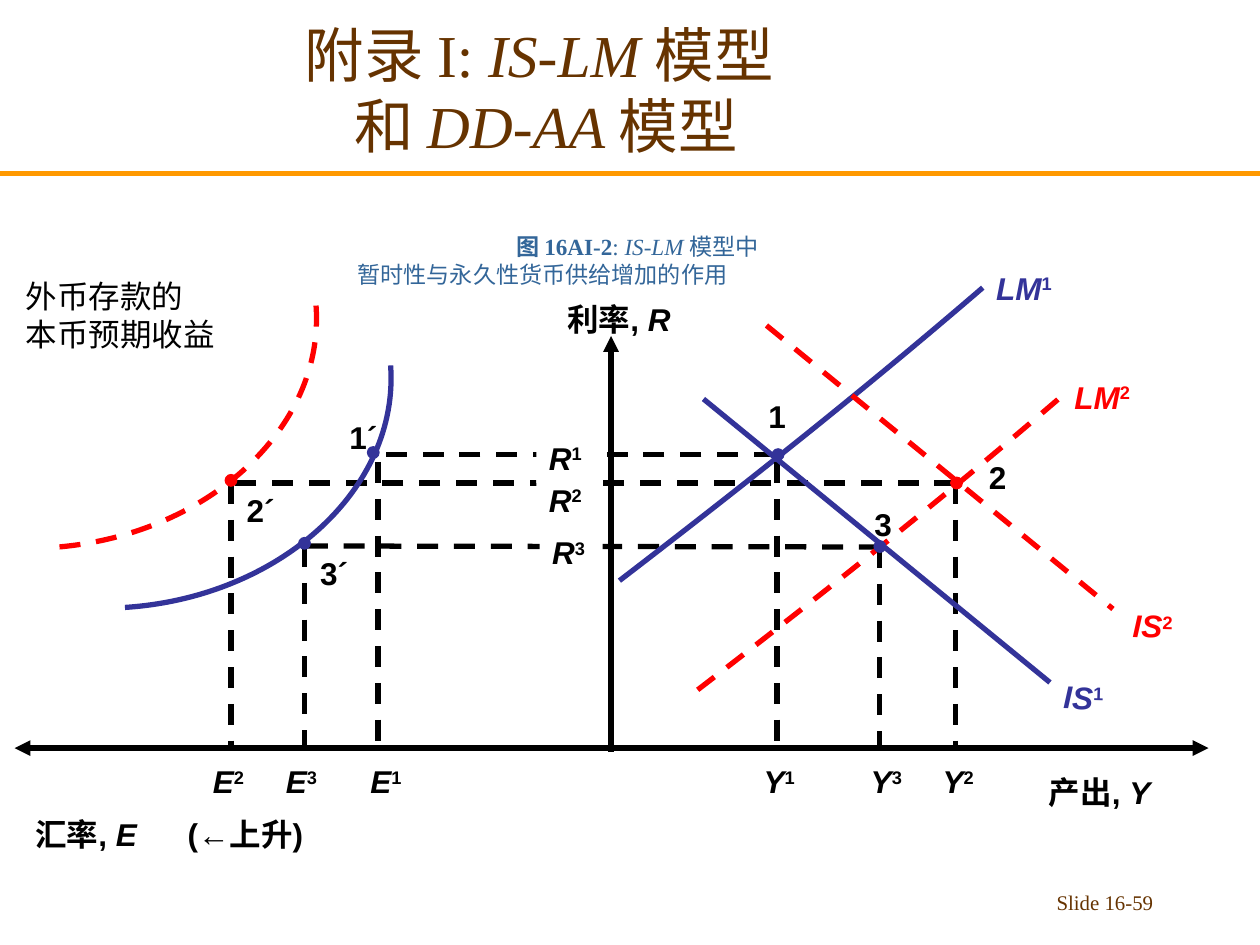
"""Build the IS-LM and DD-AA appendix slide."""
from typing import NamedTuple, Optional

from lxml.etree import SubElement
from pptx import Presentation
from pptx.dml.color import RGBColor
from pptx.enum.dml import MSO_LINE
from pptx.enum.shapes import MSO_CONNECTOR, MSO_SHAPE
from pptx.enum.text import MSO_ANCHOR as Anchor, MSO_AUTO_SIZE as Fit, PP_ALIGN as Align
from pptx.oxml.ns import qn
from pptx.util import Inches, Pt

INK = {"black": "000000", "blue": "333399", "red": "FF0000", "brown": "663300",
       "steel": "336699", "gold": "FF9900", "white": "FFFFFF"}
SERIF, SANS = "Times New Roman", "Arial"
COLS, ROWS = 120, 90
BASE, FOOT = 71.25, 72
ORIGIN = 58.2
TALL = 4.8


class Bit(NamedTuple):
    """A run of text: b bold, i italic, ^ raised."""
    text: str
    style: str = ""


class Spot(NamedTuple):
    """A marked point with its drop line and its axis label."""
    name: str
    x: float
    y: float
    ink: str
    tag: tuple[float, float]
    drop: tuple[float, float, float]
    axis: str
    left: float


class Level(NamedTuple):
    """A dashed interest rate level with its label."""
    num: str
    start: tuple[float, float]
    end: tuple[float, float]
    tag: tuple[float, float]


class Sched(NamedTuple):
    """A straight or curved schedule with its label."""
    ink: str
    pts: list[tuple[float, float]]
    name: str = ""
    num: str = ""
    tag: tuple[float, float] = (0, 0)


SPOTS = [
    Spot("3", 83.8, 52.05, "blue", (82.1, 47.5), (83.8, 52.1, BASE), "Y", 81.75),
    Spot("2", 91.1, 46, "red", (93, 43), (91, 46, 71), "Y", 88.6),
    Spot("1", 74.1, 43.3, "blue", (72, 37.2), (74, 44, 72), "Y", 71.55),
    Spot("3´", 29, 51.75, "blue", (29.3, 52.2), (29, 52, 71), "E", 26.05),
    Spot("1´", 35.55, 43.1, "blue", (32.1, 39.2), (36, 44, 72), "E", 34.1),
    Spot("2´", 22, 45.75, "red", (22.3, 46.2), (22, 46, 71), "E", 19.1),
]
LEVELS = [
    Level("2", (91, 46), (22, 46), (51.1, 45.2)),
    Level("3", (83.8, 52.1), (29, 52), (51.4, 50.2)),
    Level("1", (73.8, 43.3), (35.4, 43.3), (51.1, 41.2)),
]


def shift(pts: list, dx: float, dy: float) -> list:
    """Move points by columns and rows."""
    return [(x + dx, y + dy) for x, y in pts]


LM = [(59, 55.3), (70.6, 46.4), (82.1, 37.3), (93.6, 27.4)]
YIELD = [(37.2, 34.8), (38.05, 46.55), (26.65, 56.9), (11.9, 57.85)]
IS = [(67, 38), (100, 65)]
CURVES = [
    Sched("red", shift(LM, 7.45, 10.4), "LM", "2", (101.15, 35.4)),
    Sched("blue", LM, "LM", "1", (93.7, 25)),
    Sched("blue", YIELD),
    Sched("red", shift(YIELD, -7.1, -5.7)),
]
LINES = [
    Sched("blue", IS, "IS", "1", (100.1, 64)),
    Sched("red", shift(IS, 6, -7), "IS", "2", (106.7, 57.2)),
]

deck = Presentation()
deck.slide_width, deck.slide_height = Inches(10), Inches(7.5)
slide = deck.slides.add_slide(deck.slide_layouts[1])
shapes = slide.shapes


def col(num: float) -> int:
    """Turn columns into a length."""
    return round(deck.slide_width * num / COLS)


def row(num: float) -> int:
    """Turn rows into a length."""
    return round(deck.slide_height * num / ROWS)


def rgb(ink: str) -> RGBColor:
    """Look up a colour."""
    return RGBColor.from_string(INK[ink])


def style(line, ink: str, dash: bool = False, width: float = 3) -> None:
    """Format an outline."""
    line.color.rgb, line.width = rgb(ink), Pt(width)
    if dash:
        line.dash_style = MSO_LINE.DASH


def rule(start: tuple, end: tuple, ink: str = "black", dash: bool = False,
         arrow: bool = False) -> None:
    """Draw a straight line."""
    link = shapes.add_connector(MSO_CONNECTOR.STRAIGHT, col(start[0]), row(start[1]),
                                col(end[0]), row(end[1]))
    style(link.line, ink, dash)
    if arrow:
        SubElement(link.line._get_or_add_ln(), qn("a:tailEnd"), type="triangle")
    SubElement(link._element.spPr, qn("a:effectLst"))


def curve(pts: list, ink: str) -> None:
    """Draw one cubic curve from its four control points."""
    way = [(col(x), row(y)) for x, y in pts]
    pen = shapes.build_freeform(*way[0])
    pen.add_line_segments(way[1:], close=False)
    shape = pen.convert_to_shape()
    track = next(shape._element.iter(qn("a:moveTo"))).getparent()
    steps = track.findall(qn("a:lnTo"))
    bend = SubElement(track, qn("a:cubicBezTo"))
    for step in steps:
        bend.append(step[0])
        track.remove(step)
    shape.fill.background()
    shape.shadow.inherit = False
    style(shape.line, ink, ink == "red")


def write(frame, paras: list, size: float, face: str, ink: str, bold: bool = False,
          align: Align = Align.LEFT) -> None:
    """Fill a text frame with paragraphs of runs."""
    for k, bits in enumerate(paras):
        para = frame.paragraphs[0] if k == 0 else frame.add_paragraph()
        para.alignment, para.space_before = align, Pt(0)
        font = para.font
        font.name, font.size, font.bold, font.color.rgb = face, Pt(size), bold, rgb(ink)
        for bit in bits:
            run = para.add_run()
            run.text = bit.text
            if "b" in bit.style:
                run.font.bold = True
            if "i" in bit.style:
                run.font.italic = True
            if "^" in bit.style:
                run._r.get_or_add_rPr().set("baseline", "30000")


def label(at: tuple, wide: float, paras: list, ink: str = "black", bold: bool = True,
          wrap: bool = False, align: Align = Align.LEFT, size: float = 18,
          face: str = SANS, tall: float = TALL):
    """Add a text box."""
    box = shapes.add_textbox(col(at[0]), row(at[1]), col(wide), row(tall))
    box.text_frame.word_wrap = wrap
    write(box.text_frame, paras, size, face, ink, bold, align)
    return box


def mark(name: str, num: str, at: tuple, wide: float = 6, ink: str = "black"):
    """Add a symbol with a raised number."""
    box = label(at, wide, [[Bit(name, "i"), Bit(num, "^")]], ink, wrap=True)
    return box


def holder(shape, at: tuple, anchor: Anchor, paras: list, size: float, ink: str,
           pads: Optional[list] = None) -> None:
    """Move and fill a placeholder."""
    shape.left, shape.top, shape.width, shape.height = (
        col(at[0]), row(at[1]), col(at[2]), row(at[3]))
    frame = shape.text_frame
    frame.auto_size, frame.vertical_anchor, frame.word_wrap = Fit.NONE, anchor, True
    write(frame, paras, size, SERIF, ink, align=Align.CENTER)
    for para, (left, right) in zip(frame.paragraphs, pads or []):
        prop = para._p.get_or_add_pPr()
        for key, num in (("marL", left), ("marR", right), ("indent", 0)):
            prop.set(key, str(col(num)))
        prop.find(qn("a:defRPr")).addprevious(SubElement(prop, qn("a:buNone")))


def spot(item: Spot) -> None:
    """Draw a point with its drop line and labels."""
    x, top, end = item.drop
    rule((x, top), (x, end), dash=True)
    mark(item.axis, item.name[0], (item.left, FOOT))
    size = 1.1
    dot = shapes.add_shape(MSO_SHAPE.OVAL, col(item.x - size / 2), row(item.y - size / 2),
                           col(size), row(size))
    dot.shadow.inherit = False
    dot.fill.solid()
    dot.fill.fore_color.rgb = rgb(item.ink)
    style(dot.line, item.ink, width=0.75)
    label(item.tag, 4.2 if len(item.name) == 1 else 5.6, [[Bit(item.name)]], wrap=True)


def main() -> None:
    """Draw the slide and save it."""
    holder(shapes.title, (1, 1, 102, 15), Anchor.MIDDLE, [
        [Bit("附录 I: "), Bit("IS", "i"), Bit("-"), Bit("LM ", "i"), Bit("模型 ")],
        [Bit("和 "), Bit("DD", "i"), Bit("-"), Bit("AA ", "i"), Bit("模型")]], 34, "brown")
    holder(slide.placeholders[1], (0, 21, 120, 7), Anchor.BOTTOM, [
        [Bit("图 16AI-2", "b"), Bit(": "), Bit("IS", "i"), Bit("-"), Bit("LM ", "i"),
         Bit("模型中")],
        [Bit("暂时性与永久性货币供给增加的作用")]], 13.2, "steel", [(1.4, 0), (0, 16.7)])
    rule((0, 16.5), (COLS, 16.5), "gold")
    label((86, 84.1), 25, [[Bit("Slide 16-59")]], "brown", False, True, Align.RIGHT,
          11.9, SERIF, 4)
    for item in LEVELS:
        rule(item.start, item.end, dash=True)
        box = mark("R", item.num, item.tag)
        box.fill.solid()
        box.fill.fore_color.rgb = rgb("white")
    rule((ORIGIN, 71.6), (ORIGIN, 32), arrow=True)
    for end in (115.1, 1.4):
        rule((ORIGIN, BASE), (end, BASE), arrow=True)
    label((98.7, 73), 14, [[Bit("产出, "), Bit("Y", "i")]], wrap=True)
    label((46.3, 28), 25.3, [[Bit("利率, "), Bit("R", "i")]], wrap=True, align=Align.CENTER)
    for item in CURVES:
        curve(item.pts, item.ink)
        if item.name:
            mark(item.name, item.num, item.tag, 8.4, item.ink)
    for item in SPOTS:
        spot(item)
    rate = label((2.2, 77), 28.8, [[Bit("汇率,"), Bit(" E", "i"), Bit("\t(←上升)")]], wrap=True)
    prop = rate.text_frame.paragraphs[0]._p.get_or_add_pPr()
    tabs = SubElement(prop, qn("a:tabLst"))
    SubElement(tabs, qn("a:tab"), pos=str(col(14.5)), algn="l")
    prop.find(qn("a:defRPr")).addprevious(tabs)
    label((1.3, 25.8), 20.4, [[Bit("外币存款的")], [Bit("本币预期收益")]], bold=False, tall=8.4)
    for item in LINES:
        mark(item.name, item.num, item.tag, 7, item.ink).rotation = 1.6
        rule(*item.pts, item.ink, item.ink == "red")
    deck.save("out.pptx")


if __name__ == "__main__":
    main()
